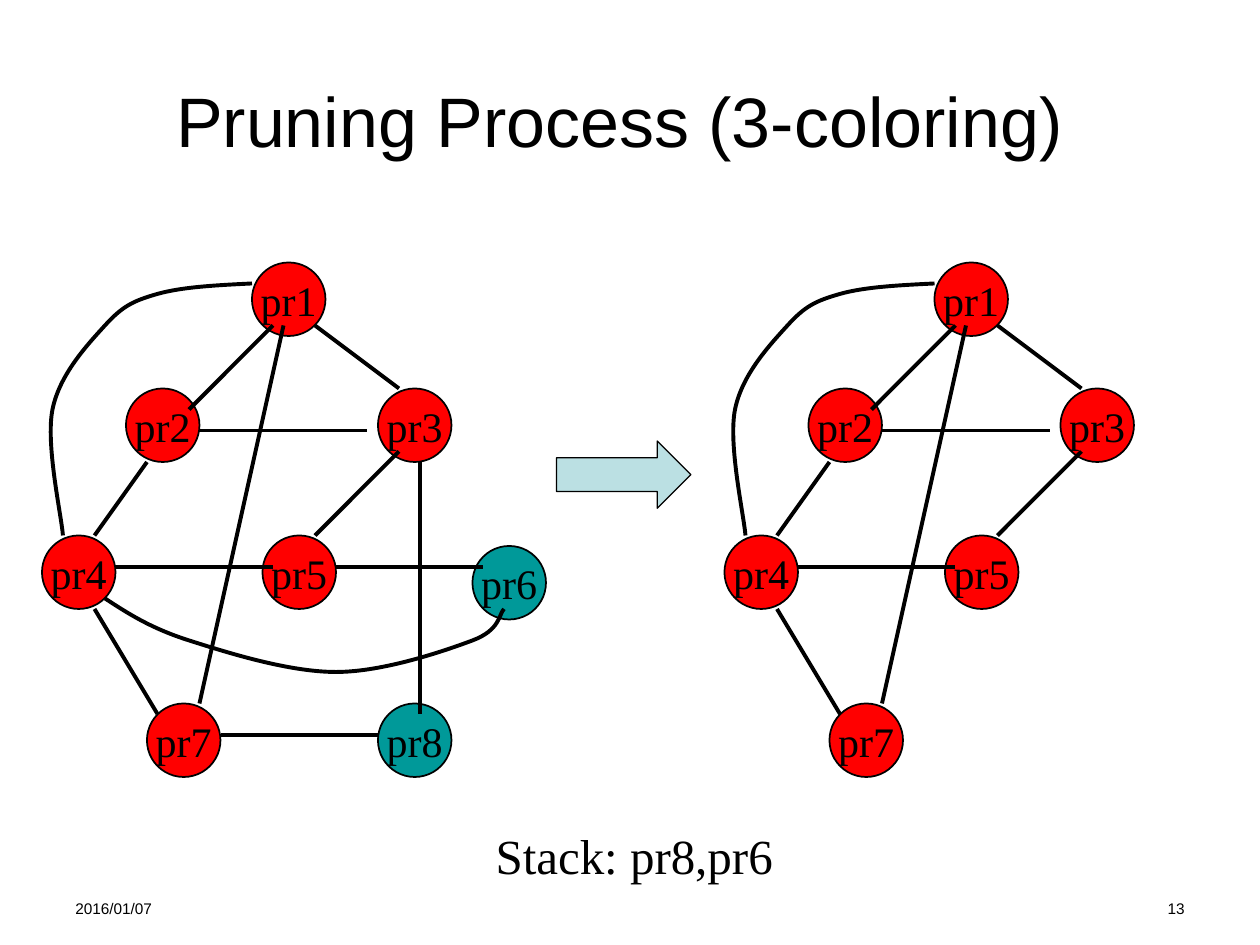
"""Build a slide that shows one pruning step of a 3-coloring interference graph."""
from lxml import etree
from pptx import Presentation
from pptx import util as u
from pptx.dml.color import RGBColor
from pptx.enum import shapes, text
from pptx.oxml.ns import qn

BLACK, RED, TEAL, PALE_BLUE = "000000", "FF0000", "009999", "BBE0E3"
CENTER, RIGHT, LEFT = text.PP_ALIGN.CENTER, text.PP_ALIGN.RIGHT, text.PP_ALIGN.LEFT
MIDDLE, TOP = text.MSO_ANCHOR.MIDDLE, text.MSO_ANCHOR.TOP
NODE_SIZE = 7
GRAPH_SHIFT = 65

NODES = {
    "pr1": (24, 25), "pr2": (12, 37), "pr3": (36, 37), "pr4": (4, 51),
    "pr5": (25, 51), "pr6": (45, 52), "pr7": (14, 67), "pr8": (36, 67),
}
EDGES = {
    ("pr1", "pr2"): (26, 31, 18, 39),
    ("pr2", "pr3"): (19, 41, 35, 41),
    ("pr2", "pr4"): (14, 44, 9, 51),
    ("pr5", "pr6"): (32, 54, 46, 54),
    ("pr1", "pr3"): (30, 31, 38, 37),
    ("pr4", "pr5"): (11, 54, 26, 54),
    ("pr1", "pr7"): (27, 31, 19, 67),
    ("pr3", "pr8"): (40, 44, 40, 68),
    ("pr7", "pr8"): (21, 70, 36, 70),
    ("pr4", "pr7"): (9, 58, 15, 68),
    ("pr3", "pr5"): (38, 43, 30, 51),
}
CURVES = {
    ("pr4", "pr6"): [(10, 57), (18, 61), (32, 64), (45, 61), (48, 58)],
    ("pr1", "pr4"): [(24, 27), (15, 28), (10, 31), (5, 39), (6, 51)],
}
PRUNED = {"pr6", "pr8"}


def color(value):
    return RGBColor.from_string(value)


def grid(*counts):
    return [u.Cm(2.54 * count / 12) for count in counts]


def spline_points(knots):
    def offset(point, before, after, sign):
        return tuple(p + sign * (a - b) / 6 for p, b, a in zip(point, before, after))

    points = []
    for index in range(len(knots) - 1):
        start, end = knots[index], knots[index + 1]
        following = knots[min(index + 2, len(knots) - 1)]
        second = offset(end, start, following, -1)
        if index:
            first = offset(start, knots[index - 1], end, 1)
        else:
            first = tuple((s + c) / 2 for s, c in zip(start, second))
        points += [first, second, end]
    return points


class GraphSlide:
    serif = "Times New Roman"
    sans = "Arial"
    edge_width = 2.25

    def __init__(self, presentation):
        self.slide = presentation.slides.add_slide(presentation.slide_layouts[5])

    def add_words(self, paragraph, words, size, font_name):
        run = paragraph.add_run()
        run.text = words
        for name, value in {"size": u.Pt(size), "name": font_name}.items():
            setattr(run.font, name, value)
        run.font.color.rgb = color(BLACK)

    def format_frame(self, frame, align, anchor, wrap):
        formats = {"vertical_anchor": anchor, "word_wrap": wrap,
                   "auto_size": text.MSO_AUTO_SIZE.NONE}
        for name, value in formats.items():
            setattr(frame, name, value)
        frame.paragraphs[0].alignment = align
        return frame.paragraphs[0]

    def outline(self, shape, width):
        shape.line.color.rgb = color(BLACK)
        shape.line.width = u.Pt(width)

    def title(self, words, box):
        shape = self.slide.shapes.title
        for name, value in zip(("left", "top", "width", "height"), grid(*box)):
            setattr(shape, name, value)
        paragraph = self.format_frame(shape.text_frame, CENTER, MIDDLE, True)
        self.add_words(paragraph, words, 40, self.sans)
        self.add_words(paragraph, " ", 44, self.sans)

    def label(self, words, box, size, font_name, align, wrap=True):
        shape = self.slide.shapes.add_textbox(*grid(*box))
        paragraph = self.format_frame(shape.text_frame, align, TOP, wrap)
        self.add_words(paragraph, words, size, font_name)

    def preset(self, kind, box, fill, line_width):
        shape = self.slide.shapes.add_shape(kind, *grid(*box))
        shape.shadow.inherit = False
        shape.fill.solid()
        shape.fill.fore_color.rgb = color(fill)
        self.outline(shape, line_width)
        return shape

    def node(self, name, x, y):
        shape = self.preset(shapes.MSO_SHAPE.OVAL, (x, y, NODE_SIZE, NODE_SIZE),
                            TEAL if name in PRUNED else RED, 1)
        paragraph = self.format_frame(shape.text_frame, CENTER, MIDDLE, False)
        self.add_words(paragraph, name, 24, self.serif)

    def edge(self, ends):
        connector = self.slide.shapes.add_connector(
            shapes.MSO_CONNECTOR.STRAIGHT, *grid(*ends))
        self.outline(connector, self.edge_width)
        etree.SubElement(connector._element.spPr, qn("a:effectLst"))

    def curve(self, knots):
        builder = self.slide.shapes.build_freeform(*grid(*knots[0]), scale=1.0)
        builder.add_line_segments([grid(*point) for point in spline_points(knots)], close=False)
        shape = builder.convert_to_shape()
        shape.shadow.inherit = False
        shape.fill.background()
        self.outline(shape, self.edge_width)
        contour = shape._element.find(".//" + qn("a:path"))
        segments = contour.findall(qn("a:lnTo"))
        for index in range(0, len(segments), 3):
            bezier = etree.SubElement(contour, qn("a:cubicBezTo"))
            for segment in segments[index:index + 3]:
                bezier.append(segment[0])
                contour.remove(segment)

    def graph(self, names, shift=0):
        for name in sorted(names):
            x, y = NODES[name]
            self.node(name, x + shift, y)
        for pair, (x1, y1, x2, y2) in EDGES.items():
            if names.issuperset(pair):
                self.edge((x1 + shift, y1, x2 + shift, y2))
        for pair, knots in CURVES.items():
            if names.issuperset(pair):
                self.curve([(x + shift, y) for x, y in knots])


def main():
    presentation = Presentation()
    presentation.slide_width, presentation.slide_height = u.Cm(25.4), u.Cm(19.05)
    page = GraphSlide(presentation)
    page.title("Pruning Process (3-coloring)", (6, 3.6, 108, 15))
    page.label("2016/01/07", (6, 85, 28, 3.2), 8.8, page.sans, LEFT)
    page.label("13", (86, 85, 28, 3.2), 8.8, page.sans, RIGHT)
    page.label("Stack: pr8,pr6", (46, 78, 28.8, 6.8), 28, page.serif, CENTER, wrap=False)
    page.graph(set(NODES))
    page.graph(set(NODES) - PRUNED, GRAPH_SHIFT)
    page.preset(shapes.MSO_SHAPE.RIGHT_ARROW, (53, 42, 12.8, 6.4), PALE_BLUE, 0.75)
    presentation.save("out.pptx")


if __name__ == "__main__":
    main()
